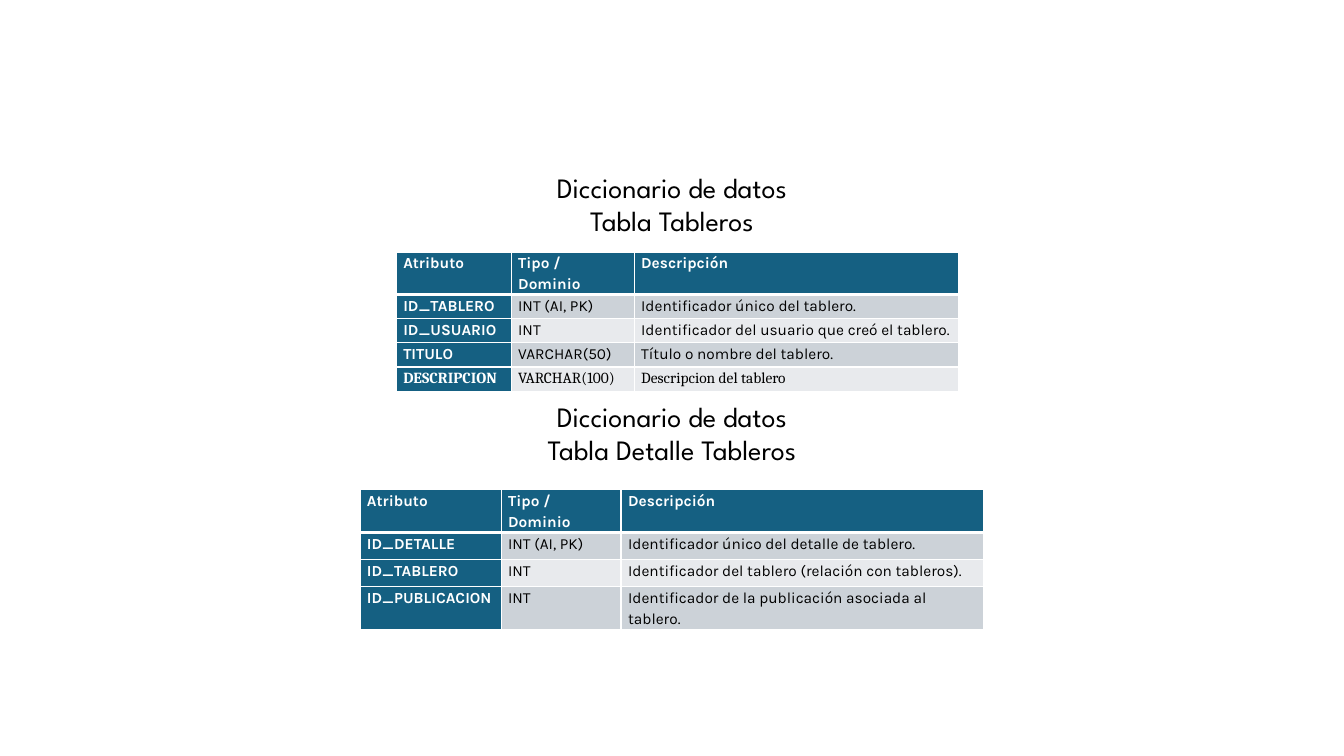
from lxml import etree
from pptx import Presentation
from pptx import util as u
from pptx.dml.color import RGBColor
from pptx.enum import text
from pptx.oxml import ns

PX = 9144
WHITE = RGBColor(0xFF, 0xFF, 0xFF)
BLACK = RGBColor(0x00, 0x00, 0x00)
BLUE = RGBColor(0x15, 0x60, 0x82)
BANDS = [RGBColor(0xCC, 0xD2, 0xD8), RGBColor(0xE8, 0xEA, 0xED)]

HEADER = ["Atributo", "Tipo / Dominio", "Descripción"]
TABLEROS = [
    HEADER,
    ["ID_TABLERO", "INT (AI, PK)", "Identificador único del tablero."],
    ["ID_USUARIO", "INT", "Identificador del usuario que creó el tablero."],
    ["TITULO", "VARCHAR(50)", "Título o nombre del tablero."],
    ["DESCRIPCION", "VARCHAR(100)", "Descripcion del tablero"],
]
DETALLE = [
    HEADER,
    ["ID_DETALLE", "INT (AI, PK)", "Identificador único del detalle de tablero."],
    ["ID_TABLERO", "INT", "Identificador del tablero (relación con tableros)."],
    ["ID_PUBLICACION", "INT", "Identificador de la publicación asociada al tablero."],
]


def px(length):
    """Turn px into EMU."""
    return u.Emu(length * PX)


def format_heading(heading, left, top, width, height, lines):
    """Place a centred heading and write its lines."""
    heading.left, heading.top = px(left), px(top)
    heading.width, heading.height = px(width), px(height)
    frame = heading.text_frame
    frame.text = "\n".join(lines)
    frame.word_wrap = True
    frame.vertical_anchor = text.MSO_ANCHOR.TOP
    frame.auto_size = text.MSO_AUTO_SIZE.SHAPE_TO_FIT_TEXT
    for line in frame.paragraphs:
        line.alignment = text.PP_ALIGN.CENTER
        line.font.size = u.Pt(20)
        line.font.name = "League Spartan"
        line.font.color.rgb = BLACK


def set_borders(cell, top, bottom):
    """Draw white cell borders, with top and bottom widths in points."""
    properties = cell._tc.get_or_add_tcPr()
    widths = {"a:lnL": 1, "a:lnR": 1, "a:lnT": top, "a:lnB": bottom}
    for position, (side, width) in enumerate(widths.items()):
        border = etree.Element(ns.qn(side), w=str(u.Pt(width)))
        fill = etree.SubElement(border, ns.qn("a:solidFill"))
        etree.SubElement(fill, ns.qn("a:srgbClr"), val=str(WHITE))
        properties.insert(position, border)


def format_cell(cell, content, row, column, font_name):
    """Write one dictionary cell, styled by its row and column."""
    is_label = row == 0 or column == 0
    cell.text = content
    cell.margin_left = cell.margin_right = px(7)
    cell.margin_top = cell.margin_bottom = 0
    cell.fill.solid()
    cell.fill.fore_color.rgb = BLUE if is_label else BANDS[(row - 1) % 2]
    entry = cell.text_frame.paragraphs[0]
    entry.line_spacing = 1.15
    entry.space_after = u.Pt(10)
    entry.font.size = u.Pt(11)
    entry.font.name = font_name
    entry.font.bold = is_label
    entry.font.color.rgb = WHITE if is_label else BLACK
    set_borders(cell, 3 if row == 1 else 1, 3 if row == 0 else 1)


def add_dictionary(slide, left, top, widths, row_height, entries, serif_rows=()):
    """Add a data dictionary table."""
    dictionary = slide.shapes.add_table(
        len(entries), len(widths), px(left), px(top),
        px(sum(widths)), px(row_height * len(entries))).table
    dictionary.first_col = True
    for column, width in zip(dictionary.columns, widths):
        column.width = px(width)
    for row, fields in enumerate(entries):
        dictionary.rows[row].height = px(row_height)
        font_name = "Cambria" if row in serif_rows else "Karla"
        for column, content in enumerate(fields):
            format_cell(dictionary.cell(row, column), content, row, column, font_name)


def main():
    """Build the data dictionary slide."""
    deck = Presentation()
    deck.slide_width, deck.slide_height = px(1333), px(750)
    slide = deck.slides.add_slide(deck.slide_layouts[5])
    format_heading(slide.shapes.title, 516, 164, 301, 77,
                   ["Diccionario de datos", "Tabla Tableros"])
    add_dictionary(slide, 393, 250, [114, 122, 322], 24, TABLEROS, serif_rows=[4])
    detail_heading = slide.shapes.add_textbox(0, 0, 0, 0)
    format_heading(detail_heading, 485, 391, 363, 77,
                   ["Diccionario de datos", "Tabla Detalle Tableros"])
    add_dictionary(slide, 357, 486, [140, 119, 360], 27, DETALLE)
    deck.save("out.pptx")


if __name__ == "__main__":
    main()
